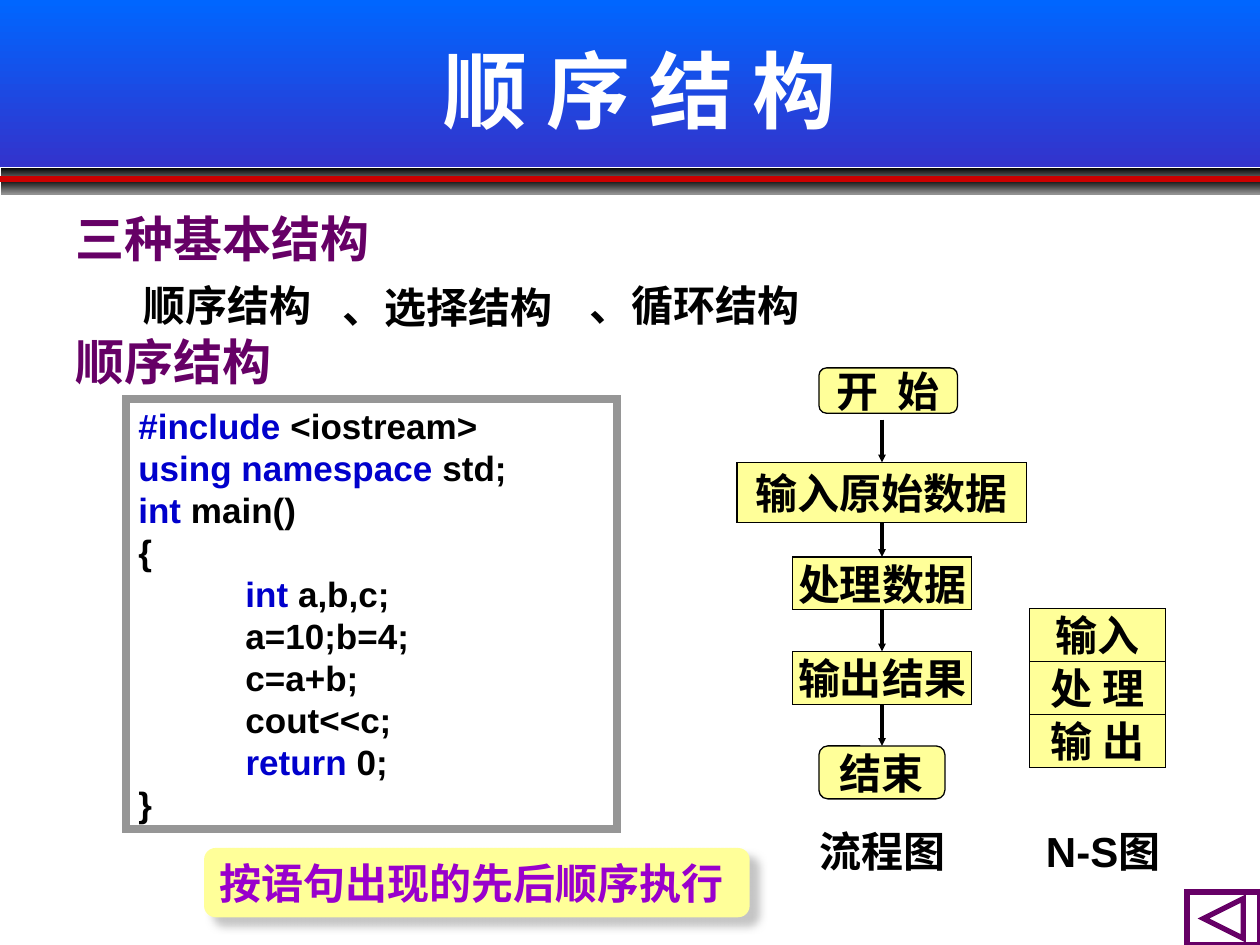
from pptx import Presentation
from pptx.dml.color import RGBColor
from pptx.enum.shapes import MSO_CONNECTOR, MSO_SHAPE
from pptx.enum.text import MSO_ANCHOR, PP_ALIGN
from pptx.oxml import parse_xml
from pptx.oxml.ns import nsdecls, qn
from pptx.util import Inches, Pt

RECT = MSO_SHAPE.RECTANGLE
ROUND = MSO_SHAPE.ROUNDED_RECTANGLE
BACK_BUTTON = MSO_SHAPE.ACTION_BUTTON_BACK_OR_PREVIOUS
STRAIGHT = MSO_CONNECTOR.STRAIGHT
TOP, MIDDLE, BOTTOM = MSO_ANCHOR.TOP, MSO_ANCHOR.MIDDLE, MSO_ANCHOR.BOTTOM
LEFT, CENTER = PP_ALIGN.LEFT, PP_ALIGN.CENTER
TOP_SIDE, BOTTOM_SIDE = 0, 2

BLACK = RGBColor(0x00, 0x00, 0x00)
WHITE = RGBColor(0xFF, 0xFF, 0xFF)
SKY = RGBColor(0x00, 0x66, 0xFF)
INDIGO = RGBColor(0x33, 0x33, 0xCC)
DARK_GRAY = RGBColor(0x92, 0x92, 0x92)
FRAME_GRAY = RGBColor(0x96, 0x96, 0x96)
RED = RGBColor(0xCC, 0x00, 0x00)
PURPLE = RGBColor(0x66, 0x00, 0x66)
VIOLET = RGBColor(0x99, 0x00, 0xCC)
YELLOW = RGBColor(0xFF, 0xFF, 0x99)
KEYWORD = RGBColor(0x00, 0x00, 0xCC)

SANS, SERIF, CJK = "Arial", "Times New Roman", "Noto Sans CJK SC"
FLOW_AXIS = 7

CODE = [
    [("#include ", KEYWORD), ("<iostream>", BLACK)],
    [("using namespace ", KEYWORD), ("std;", BLACK)],
    [("int", KEYWORD), (" main()", BLACK)],
    [("{", BLACK)],
    [("\t", BLACK), ("int ", KEYWORD), ("a,b,c;", BLACK)],
    [("\ta=10;b=4;", BLACK)],
    [("\tc=a+b;", BLACK)],
    [("\tcout<<c;", BLACK)],
    [("           ", BLACK), ("return", KEYWORD), (" 0;", BLACK)],
    [("}", BLACK)],
]


def write_lines(shape, lines, size=24, font=SERIF, align=LEFT, anchor=MIDDLE,
                wrap=False, side_inset=0.1, tab=None):
    """Fill a shape with lines of (text, colour) runs."""
    frame = shape.text_frame
    frame.word_wrap = wrap
    frame.vertical_anchor = anchor
    frame.margin_left = frame.margin_right = Inches(side_inset)
    for index, line in enumerate(lines):
        para = frame.paragraphs[0] if index == 0 else frame.add_paragraph()
        para.alignment = align
        if tab is not None:
            para._p.get_or_add_pPr().append(parse_xml(
                f'<a:tabLst {nsdecls("a")}><a:tab pos="{Inches(tab)}" algn="l"/></a:tabLst>'))
        for text, color in line:
            span = para.add_run()
            span.text = text
            span.font.size = Pt(size)
            span.font.bold = True
            span.font.color.rgb = color
            span.font.name = font
            span.font._element.append(
                parse_xml(f'<a:ea {nsdecls("a")} typeface="{CJK}"/>'))


def add_label(page, at, text, color=BLACK, **style):
    """Add a text box with a single line."""
    box = page.shapes.add_textbox(*map(Inches, at))
    write_lines(box, [[(text, color)]], **style)


def add_box(page, kind, at, fill=None, line=None, width=0.75):
    """Add a preset shape with a plain fill and a sharp outline, without shadow."""
    box = page.shapes.add_shape(kind, *map(Inches, at))
    box.shadow.inherit = False
    if fill is None:
        box.fill.background()
    else:
        box.fill.solid()
        box.fill.fore_color.rgb = fill
    if line is None:
        box.line.fill.background()
    else:
        box.line.color.rgb = line
        box.line.width = Pt(width)
        box._element.spPr.find(qn("a:ln")).append(
            parse_xml(f'<a:miter {nsdecls("a")} lim="800000"/>'))
    return box


def add_band(page, at, upper, lower):
    """Add a band that fades from its upper to its lower colour."""
    band = add_box(page, RECT, at)
    band.fill.gradient()
    band.fill.gradient_angle = 270
    for stop, color, position in zip(band.fill.gradient_stops, (upper, lower), (0, 1)):
        stop.color.rgb = color
        stop.position = position


def add_step(page, kind, at, text, side_inset=0):
    """Add a yellow diagram box with centred text."""
    step = add_box(page, kind, at, YELLOW, BLACK)
    write_lines(step, [[(text, BLACK)]], align=CENTER, side_inset=side_inset)
    return step


def add_line(page, start, end, color, width):
    """Add a straight connector without shadow."""
    line = page.shapes.add_connector(STRAIGHT, *map(Inches, start + end))
    line.line.color.rgb = color
    line.line.width = Pt(width)
    line._element.spPr.append(parse_xml(f'<a:effectLst {nsdecls("a")}/>'))
    return line


def add_arrow(page, top, bottom, above, below):
    """Add a downward arrow on the flow axis, joined to its boxes."""
    arrow = add_line(page, (FLOW_AXIS, top), (FLOW_AXIS, bottom), BLACK, 2.25)
    if above is not None:
        arrow.begin_connect(above, BOTTOM_SIDE)
    arrow.end_connect(below, TOP_SIDE)
    outline = arrow._element.spPr.find(qn("a:ln"))
    outline.append(parse_xml(
        f'<a:tailEnd {nsdecls("a")} type="triangle" w="sm" len="sm"/>'))


def add_soft_shadow(shape):
    """Give a shape a blurred grey shadow to its lower right."""
    shape._element.spPr.find(qn("a:effectLst")).append(parse_xml(
        f'<a:outerShdw {nsdecls("a")} blurRad="{Pt(5)}" dist="{Pt(7.1)}" '
        'dir="2700000" algn="ctr" rotWithShape="0"><a:srgbClr val="B2B2B2">'
        '<a:alpha val="75000"/></a:srgbClr></a:outerShdw>'))


def add_header(page):
    """Draw the title band, the bars below it and the title."""
    add_band(page, (0, 0, 10, 1.33), SKY, INDIGO)
    for top in (1.33, 1.42):
        add_band(page, (0.01, top, 9.99, 0.12), BLACK, DARK_GRAY)
    add_line(page, (0, 1.42), (10, 1.42), RED, 3)
    add_label(page, (0.83, 0.08, 8.5, 1.25), "顺 序 结 构", WHITE,
              size=48, font=SANS, align=CENTER, wrap=True)


def add_topics(page):
    """Write the two headings and the three structure names."""
    for at, text in [((0.5, 1.6, 2.55, 0.57), "三种基本结构"),
                     ((0.5, 2.58, 1.76, 0.57), "顺序结构")]:
        add_label(page, at, text, PURPLE, size=28, font=CJK)
    for at, text in [((1.04, 2.17, 1.75, 0.5), "顺序结构"),
                     ((2.62, 2.18, 1.92, 0.5), "、选择结构"),
                     ((4.58, 2.17, 2.17, 0.5), "、循环结构")]:
        add_label(page, at, text, anchor=BOTTOM, wrap=True)


def add_flowchart(page):
    """Draw the flowchart with its arrows and caption."""
    add_step(page, ROUND, (6.5, 2.92, 1.1, 0.36), "开  始")
    above, bottom = None, 3.33
    for kind, top, width, height, text, inset in [
            (RECT, 3.67, 2.3, 0.48, "输入原始数据", 0.1),
            (RECT, 4.42, 1.42, 0.42, "处理数据", 0),
            (RECT, 5.17, 1.42, 0.42, "输出结果", 0),
            (ROUND, 5.92, 1, 0.42, "结束", 0)]:
        at = (FLOW_AXIS - width / 2, top, width, height)
        step = add_step(page, kind, at, text, inset)
        add_arrow(page, bottom, top, above, step)
        above, bottom = step, top + height
    add_label(page, (6.17, 6.5, 1.67, 0.5), "流程图", font=SANS, align=CENTER, side_inset=0)


def add_ns_chart(page):
    """Draw the stacked N-S chart and its caption."""
    for row, text in enumerate(["输入", "处 理", "输 出"]):
        add_step(page, RECT, (8.17, 4.83 + 0.42 * row, 1.08, 0.42), text)
    add_label(page, (7.92, 6.5, 1.67, 0.5), "N-S图", font=SANS, align=CENTER, side_inset=0)


def add_code(page):
    """Draw the framed code and the remark below it."""
    remark = add_box(page, ROUND, (1.62, 6.73, 4.33, 0.55), YELLOW)
    add_soft_shadow(remark)
    write_lines(remark, [[("按语句出现的先后顺序执行", VIOLET)]], anchor=BOTTOM, wrap=True)
    frame = add_box(page, RECT, (1, 3.17, 3.9, 3.41), line=FRAME_GRAY, width=4.5)
    write_lines(frame, CODE, size=20, font=SANS, anchor=MIDDLE, tab=0.85)


def main():
    """Build the slide and save it."""
    deck = Presentation()
    deck.slide_width, deck.slide_height = Inches(10), Inches(7.5)
    page = deck.slides.add_slide(deck.slide_layouts[6])
    add_header(page)
    add_topics(page)
    add_flowchart(page)
    add_ns_chart(page)
    add_box(page, BACK_BUTTON, (9.42, 7.08, 0.58, 0.42), line=PURPLE, width=3)
    add_code(page)
    deck.save("out.pptx")


if __name__ == "__main__":
    main()
